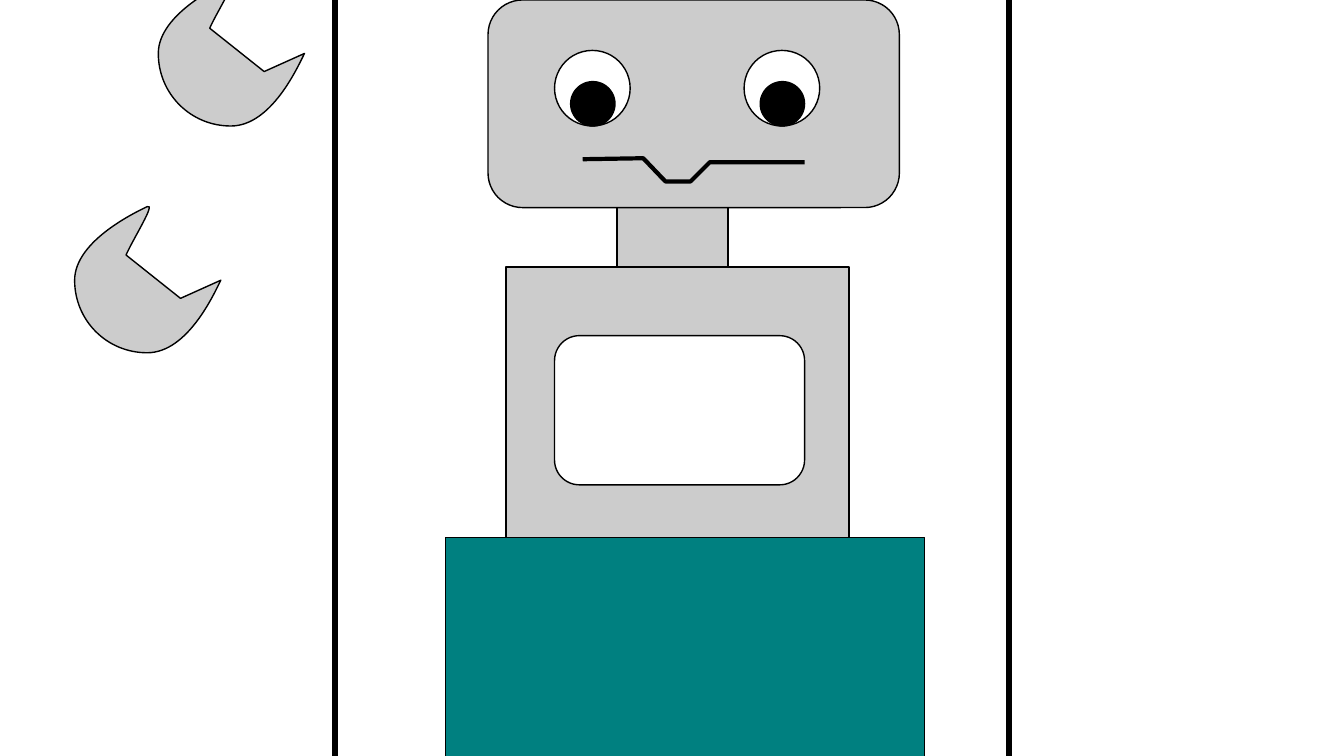
from lxml.etree import SubElement
from pptx import Presentation
from pptx.dml.color import RGBColor
from pptx.enum.shapes import MSO_SHAPE
from pptx.oxml.ns import qn
from pptx.util import Inches, Pt

GRAY, WHITE, BLACK, TEAL = "CCCCCC", "FFFFFF", "000000", "008080"
CLAW = [
    [(0, 0.73)],
    [(0, 0.33), (0.64, 0.04), (0.72, 0)],
    [(0.81, -0.04), (0.58, 0.32), (0.51, 0.48)],
    [(1.05, 0.91)],
    [(1.45, 0.73)],
    [(1.38, 0.87), (1.12, 1.45), (0.72, 1.45)],
    [(0.32, 1.45), (0, 1.13), (0, 0.73)],
]
MOUTH = [(5.78, 1.58), (6.38, 1.57), (6.6, 1.8), (6.85, 1.8), (7.04, 1.61), (7.98, 1.61)]


def color(target, value):
    """Give a fill a solid colour from a hex string."""
    target.solid()
    target.fore_color.rgb = RGBColor.from_string(value)


def paint(shape, fill, width=1):
    """Set the fill and black outline of a shape."""
    shape.shadow.inherit = False
    if fill:
        color(shape.fill, fill)
    else:
        shape.fill.background()
    color(shape.line.fill, BLACK)
    shape.line.width = Pt(width)


def block(shapes, kind, box, fill, width=1):
    """Add a preset shape in a box of inches."""
    paint(shapes.add_shape(kind, *map(Inches, box)), fill, width)


def outline(shapes, points, fill, close, width=1):
    """Add a freeform through points in inches and return it."""
    pairs = [(Inches(x), Inches(y)) for x, y in points]
    pen = shapes.build_freeform(*pairs[0], scale=1.0)
    pen.add_line_segments(pairs[1:], close=close)
    shape = pen.convert_to_shape()
    paint(shape, fill, width)
    return shape


def bend(node, piece):
    """Turn a line segment into a cubic curve."""
    node.tag = qn("a:cubicBezTo")
    for old in list(node):
        node.remove(old)
    for x, y in piece:
        SubElement(node, qn("a:pt"), x=str(Inches(x)), y=str(Inches(y)))


def claw(shapes, left, top):
    """Add a gripper claw with its corner at left and top."""
    points = [(left + piece[-1][0], top + piece[-1][1]) for piece in CLAW]
    shape = outline(shapes, points, GRAY, True)
    nodes = list(shape.element.iter(qn("a:lnTo")))
    for node, piece in zip(nodes, CLAW[1:]):
        if len(piece) == 3:
            bend(node, piece)


def eyes(shapes):
    """Add the grouped pair of eyes."""
    group = shapes.add_group_shape().shapes
    for inset, top, size, fill in ((0, 0.5, 0.75, WHITE), (0.16, 0.81, 0.44, BLACK)):
        for left in (5.5, 7.38):
            block(group, MSO_SHAPE.OVAL, (left + inset, top, size, size), fill)


def main():
    """Build the robot slide."""
    deck = Presentation()
    for name, size in {"slide_width": 13.33, "slide_height": 7.5}.items():
        setattr(deck, name, Inches(size))
    shapes = deck.slides.add_slide(deck.slide_layouts[6]).shapes
    rect, soft = MSO_SHAPE.RECTANGLE, MSO_SHAPE.ROUNDED_RECTANGLE

    block(shapes, rect, (3.32, -1.66, 6.69, 10.63), WHITE, 4.25)
    block(shapes, rect, (6.12, 1.89, 1.1, 0.76), GRAY)
    block(shapes, soft, (4.84, 0, 4.08, 2.06), GRAY)
    eyes(shapes)
    for left, top in ((1.57, -0.2), (0.74, 2.05)):
        claw(shapes, left, top)
    outline(shapes, MOUTH, None, False, 3)
    block(shapes, rect, (5.02, 2.65, 3.4, 2.68), GRAY)
    block(shapes, soft, (5.5, 3.33, 2.48, 1.48), WHITE)
    block(shapes, rect, (4.42, 5.33, 4.75, 2.68), TEAL)
    deck.save("out.pptx")


if __name__ == "__main__":
    main()
